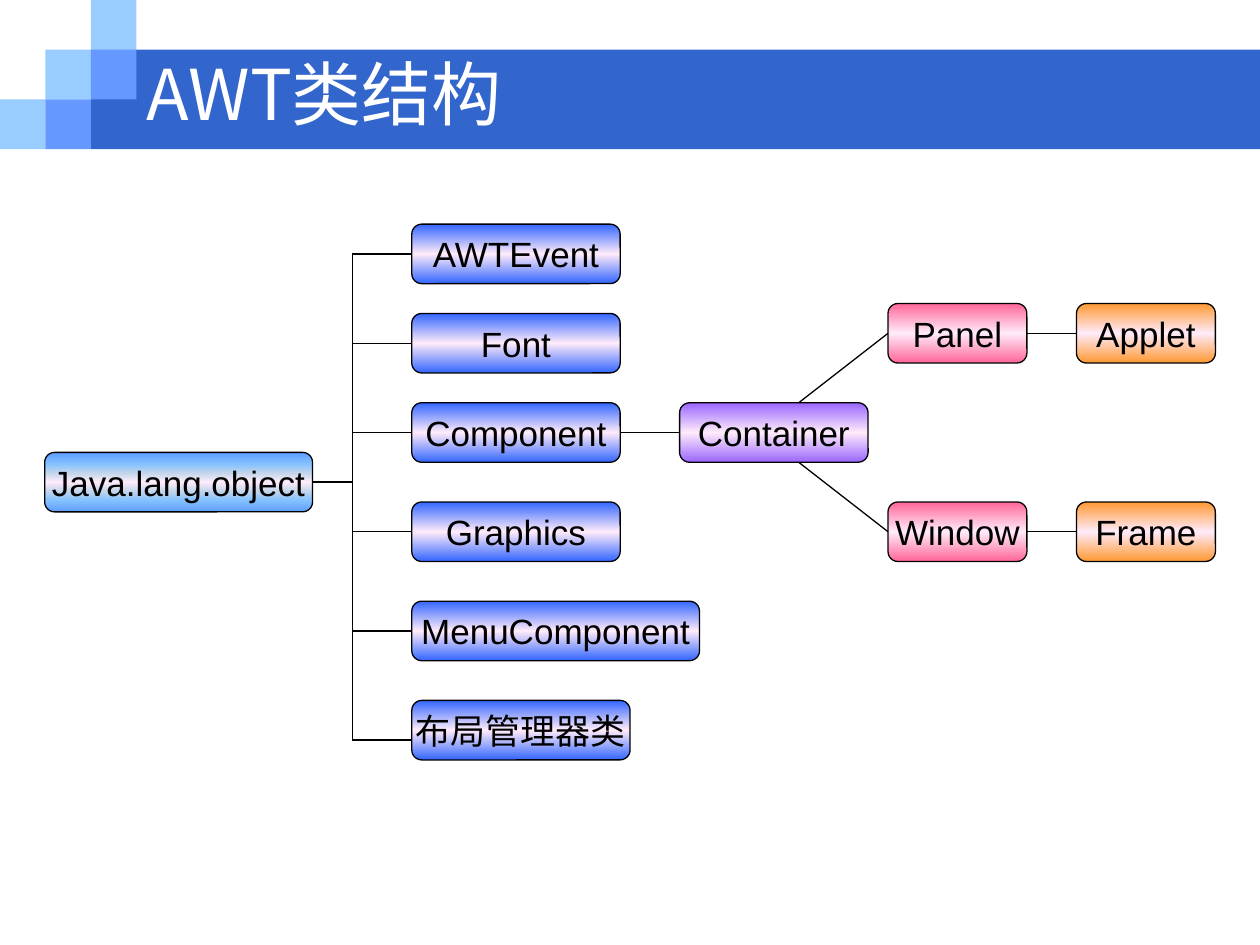
from dataclasses import dataclass

from lxml import etree
from pptx import Presentation
from pptx.dml.color import RGBColor
from pptx.enum.shapes import MSO_CONNECTOR, MSO_SHAPE
from pptx.enum.text import MSO_ANCHOR, MSO_AUTO_SIZE, PP_ALIGN
from pptx.oxml.ns import qn
from pptx.util import Pt

RECTANGLE = MSO_SHAPE.RECTANGLE
ROUNDED = MSO_SHAPE.ROUNDED_RECTANGLE
STRAIGHT = MSO_CONNECTOR.STRAIGHT
MIDDLE = MSO_ANCHOR.MIDDLE
LEFT_SIDE, RIGHT_SIDE = 1, 3


@dataclass(frozen=True)
class Theme:
    band: str = "3366CC"
    light_square: str = "99CCFF"
    mid_square: str = "6699FF"
    title_text: str = "FFFFFF"
    ink: str = "000000"
    root: tuple = ((0, "5E9EFF"), (20, "85C2FF"), (35, "C4D6EB"), (50, "FFEBFA"),
                   (65, "C4D6EB"), (80, "85C2FF"), (100, "5E9EFF"))
    glow: str = "FFEBFA"
    blue: str = "3366FF"
    violet: str = "9966FF"
    pink: str = "FF6699"
    orange: str = "FF9933"
    latin: str = "Arial"
    chinese: str = "Noto Sans CJK SC"
    title_size: int = 40
    node_size: int = 20
    line_width: float = 0.75

    def glowing(self, color):
        return ((0, color), (50, self.glow), (100, color))


THEME = Theme()

# The diagram sits on a square grid, counted from its top left corner.
GRID = 5.67
ORIGIN_X, ORIGIN_Y = 25.5, 128.1
NODE_HEIGHT = 6
TRUNK_COLUMN = 31
CLASS_COLUMN = 37
FORK_COLUMN = 76
SQUARE_WIDTH, SQUARE_HEIGHT = 26, 28.4


def grid_x(column):
    return Pt(ORIGIN_X + column * GRID)


def grid_y(row):
    return Pt(ORIGIN_Y + row * GRID)


def style_text(para, size, color, latin):
    """Format a paragraph, with the Chinese font for East Asian characters."""
    para.font.size = Pt(size)
    para.font.color.rgb = RGBColor.from_string(color)
    para.font.name = latin
    for span in para.runs:
        east_asian = etree.SubElement(span.font._element, qn("a:ea"))
        east_asian.set("typeface", THEME.chinese)


def add_block(page, left, top, width, height, color):
    block = page.shapes.add_shape(RECTANGLE, Pt(left), Pt(top), Pt(width), Pt(height))
    block.shadow.inherit = False
    block.fill.solid()
    block.fill.fore_color.rgb = RGBColor.from_string(color)
    block.line.fill.background()


def add_header(page):
    add_block(page, 2 * SQUARE_WIDTH, SQUARE_HEIGHT, 720 - 2 * SQUARE_WIDTH,
              2 * SQUARE_HEIGHT, THEME.band)
    diagonals = ((THEME.light_square, ((0, 2), (1, 1), (2, 0))),
                 (THEME.mid_square, ((2, 1), (1, 2))))
    for color, cells in diagonals:
        for column, row in cells:
            add_block(page, column * SQUARE_WIDTH, row * SQUARE_HEIGHT,
                      SQUARE_WIDTH, SQUARE_HEIGHT, color)


def set_title(page, text):
    title = page.shapes.title
    title.left, title.top, title.width, title.height = Pt(76.3), Pt(33.8), Pt(582), Pt(38.2)
    # Bring the title in front of the header blocks.
    page.shapes._spTree.append(title._element)
    frame = title.text_frame
    frame.text = text
    frame.vertical_anchor = MIDDLE
    frame.auto_size = MSO_AUTO_SIZE.NONE
    para = frame.paragraphs[0]
    para.alignment = PP_ALIGN.LEFT
    style_text(para, THEME.title_size, THEME.title_text, THEME.chinese)


def fill_gradient(shape, stops):
    """Fill from top to bottom through (percent, colour) stops."""
    shape.fill.gradient()
    shape.fill.gradient_angle = 90
    stop_list = shape._element.spPr.find(qn("a:gradFill")).find(qn("a:gsLst"))
    for old in list(stop_list):
        stop_list.remove(old)
    for percent, color in stops:
        stop = etree.SubElement(stop_list, qn("a:gs"), pos=str(percent * 1000))
        etree.SubElement(stop, qn("a:srgbClr"), val=color)


def add_node(page, text, column, row, width, stops):
    node = page.shapes.add_shape(ROUNDED, grid_x(column), grid_y(row),
                                 Pt(width * GRID), Pt(NODE_HEIGHT * GRID))
    node.shadow.inherit = False
    fill_gradient(node, stops)
    node.line.color.rgb = RGBColor.from_string(THEME.ink)
    node.line.width = Pt(THEME.line_width)
    frame = node.text_frame
    frame.word_wrap = False
    frame.vertical_anchor = MIDDLE
    frame.text = text
    para = frame.paragraphs[0]
    para.alignment = PP_ALIGN.CENTER
    style_text(para, THEME.node_size, THEME.ink, THEME.latin)
    return node


def add_line(page, start=(0, 0), end=(0, 0), source=None, target=None):
    """Draw between grid points; a source or target node replaces its point."""
    line = page.shapes.add_connector(STRAIGHT, grid_x(start[0]), grid_y(start[1]),
                                     grid_x(end[0]), grid_y(end[1]))
    if source is not None:
        line.begin_connect(source, RIGHT_SIDE)
    if target is not None:
        line.end_connect(target, LEFT_SIDE)
    line.line.color.rgb = RGBColor.from_string(THEME.ink)
    line.line.width = Pt(THEME.line_width)
    etree.SubElement(line._element.spPr, qn("a:effectLst"))


def add_class_tree(page):
    half = NODE_HEIGHT / 2
    root = add_node(page, "Java.lang.object", 0, 23, 27, THEME.root)
    add_line(page, source=root, end=(TRUNK_COLUMN, 23 + half))

    blue = THEME.glowing(THEME.blue)
    classes = (("AWTEvent", 0, 21), ("Font", 9, 21), ("Component", 18, 21),
               ("Graphics", 28, 21), ("MenuComponent", 38, 29))
    nodes = {}
    for text, row, width in classes:
        nodes[text] = add_node(page, text, CLASS_COLUMN, row, width, blue)
        add_line(page, start=(TRUNK_COLUMN, row + half), target=nodes[text])

    # The last branch meets its node a little below the middle.
    last_branch = 52
    add_node(page, "布局管理器类", CLASS_COLUMN, 48, 22, blue)
    add_line(page, (TRUNK_COLUMN, last_branch), (CLASS_COLUMN, last_branch))
    add_line(page, (TRUNK_COLUMN, half), (TRUNK_COLUMN, last_branch))

    container = add_node(page, "Container", 64, 18, 19, THEME.glowing(THEME.violet))
    add_line(page, source=nodes["Component"], target=container)
    for parent_text, child_text, row, fork_row in (("Panel", "Applet", 8, 18),
                                                   ("Window", "Frame", 28, 24)):
        parent = add_node(page, parent_text, 85, row, 14, THEME.glowing(THEME.pink))
        child = add_node(page, child_text, 104, row, 14, THEME.glowing(THEME.orange))
        add_line(page, start=(FORK_COLUMN, fork_row), target=parent)
        add_line(page, source=parent, target=child)


def main():
    deck = Presentation()
    deck.slide_width, deck.slide_height = Pt(720), Pt(540)
    page = deck.slides.add_slide(deck.slide_layouts[5])
    add_header(page)
    set_title(page, "AWT类结构")
    add_class_tree(page)
    deck.save("out.pptx")


if __name__ == "__main__":
    main()
